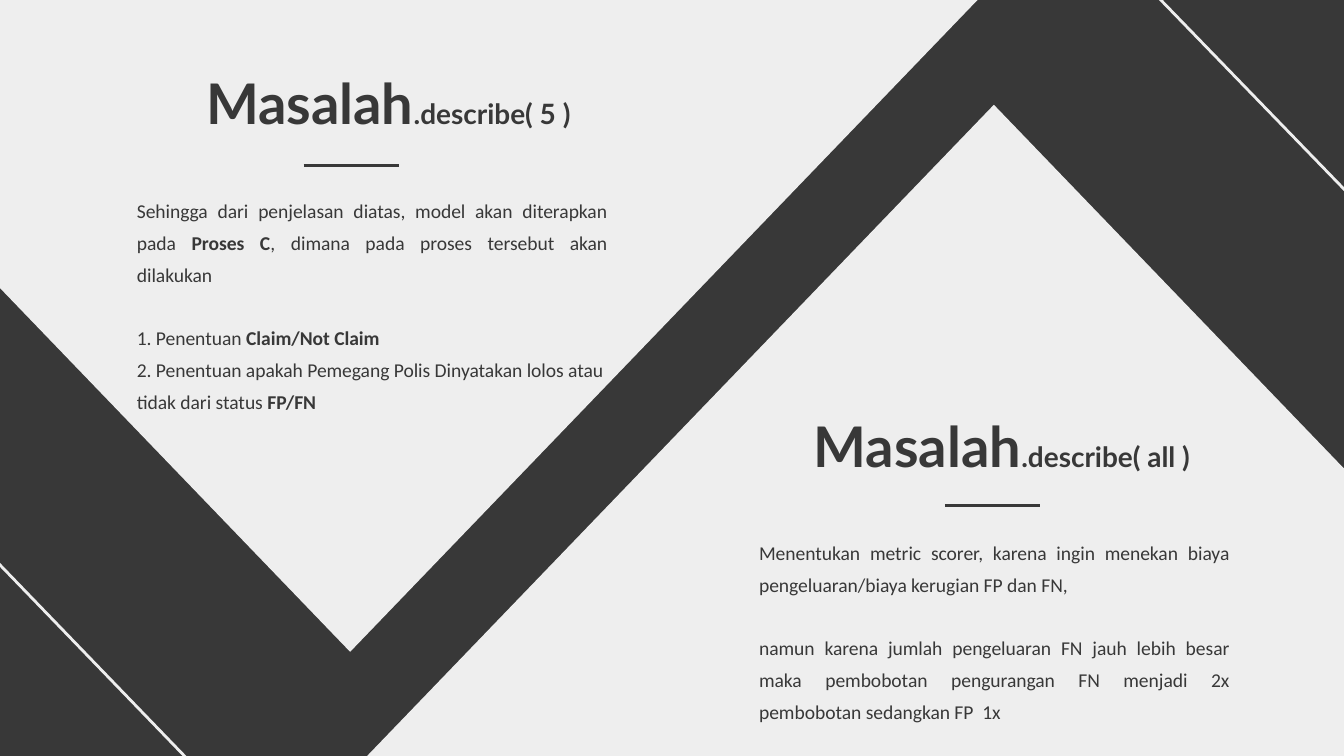
"""Builds a dark slide with two light triangles and two titled notes."""
from dataclasses import dataclass
from typing import Any

from lxml.etree import SubElement
from pptx import Presentation
from pptx.dml.color import RGBColor as Color
from pptx.enum.shapes import MSO_CONNECTOR as Link, MSO_SHAPE as Shape
from pptx.enum.text import MSO_ANCHOR as Anchor, PP_ALIGN as Align
from pptx.oxml.ns import qn
from pptx.util import Inches, Pt


@dataclass(frozen=True)
class Theme:
    dark: Color = Color(0x38, 0x38, 0x38)
    light: Color = Color(0xEE, 0xEE, 0xEE)
    head: str = "Lato"
    body: str = "Calibri"
    big: float = 30
    small: float = 15
    text: float = 10.5
    gap: float = 16.8
    lead: float = 1.36
    line: float = 1.5


@dataclass(frozen=True)
class Run:
    text: str
    bold: bool = False
    size: float = Theme.text
    face: str = Theme.body


@dataclass(frozen=True)
class Para:
    runs: list[Run]
    align: Align = Align.JUSTIFY
    gap: float = 0
    lead: float = Theme.lead


@dataclass(frozen=True)
class Note:
    call: str
    title: tuple[float, ...]
    body: tuple[float, ...]
    rule: tuple[float, float]
    paras: list[Para]


THEME = Theme()
WIDTH = Inches(10)
RULE = 0.71
PEAKS = [(2.65, 0.78, 0), (-2.14, -0.08, 180)]
EDGES = [(-1.5, 2.65, 1.86, 6.13), (8.57, -0.07, 11.94, 3.41)]
NOTES = [
    Note(".describe( 5 )", (0.92, 0.41, 3.94, 0.58), (0.92, 1.32, 3.7, 1.08), (2.26, 1.23), [
        Para([Run("Sehingga dari penjelasan diatas, model akan diterapkan pada "),
              Run("Proses C", True),
              Run(", dimana pada proses tersebut akan dilakukan")]),
        Para([Run("1. Penentuan "), Run("Claim/Not Claim", True)], Align.LEFT, THEME.gap),
        Para([Run("2. Penentuan apakah Pemegang Polis Dinyatakan lolos atau tidak dari status"),
              Run(" FP/FN", True)], Align.LEFT),
    ]),
    Note(".describe( all )", (5.55, 2.96, 3.81, 0.58), (5.55, 3.86, 3.7, 1.08), (7.03, 3.76), [
        Para([Run("Menentukan metric scorer, karena ingin menekan biaya "
                  "pengeluaran/biaya kerugian FP dan FN,")]),
        Para([Run("namun karena jumlah pengeluaran FN jauh lebih besar maka pembobotan "
                  "pengurangan FN menjadi 2x pembobotan sedangkan FP  1x")], gap=THEME.gap),
    ]),
]


def apply(item: Any, form: dict[str, Any]) -> None:
    for key, value in form.items():
        setattr(item, key, value)


def draw_peak(slide: Any, left: float, top: float, turn: float) -> None:
    peak = slide.shapes.add_shape(Shape.ISOSCELES_TRIANGLE, Inches(left), Inches(top),
                                  Inches(9.49), Inches(4.93))
    peak.rotation = turn
    peak.shadow.inherit = False
    peak.fill.solid()
    peak.fill.fore_color.rgb = THEME.light
    peak.line.fill.background()


def draw_line(slide: Any, ends: tuple[float, ...], color: Color) -> None:
    line = slide.shapes.add_connector(Link.STRAIGHT, *map(Inches, ends))
    line.line.color.rgb = color
    line.line.width = Pt(THEME.line)
    SubElement(line._element.spPr, qn("a:effectLst"))


def draw_text(slide: Any, place: tuple[float, ...], paras: list[Para]) -> None:
    frame = slide.shapes.add_textbox(*map(Inches, place)).text_frame
    pad = Inches(0.1)
    apply(frame, {"word_wrap": True, "vertical_anchor": Anchor.TOP, "margin_left": pad,
                  "margin_right": pad, "margin_top": pad, "margin_bottom": pad})
    for index, para in enumerate(paras):
        block = frame.add_paragraph() if index else frame.paragraphs[0]
        apply(block, {"alignment": para.align, "line_spacing": para.lead,
                      "space_before": Pt(para.gap)})
        for run in para.runs:
            part = block.add_run()
            part.text = run.text
            apply(part.font, {"name": run.face, "size": Pt(run.size), "bold": run.bold})
            part.font.color.rgb = THEME.dark


def draw_note(slide: Any, note: Note) -> None:
    title = [Run("Masalah", True, THEME.big, THEME.head),
             Run(note.call, True, THEME.small, THEME.head)]
    draw_text(slide, note.title, [Para(title, Align.CENTER, lead=1.0)])
    left, top = note.rule
    draw_line(slide, (left, top, left + RULE, top), THEME.dark)
    draw_text(slide, note.body, note.paras)


def main() -> None:
    deck = Presentation()
    apply(deck, {"slide_width": WIDTH, "slide_height": WIDTH * 9 // 16})
    slide = deck.slides.add_slide(deck.slide_layouts[6])
    back = slide.background.fill
    back.solid()
    back.fore_color.rgb = THEME.dark
    for peak in PEAKS:
        draw_peak(slide, *peak)
    for edge in EDGES:
        draw_line(slide, edge, THEME.light)
    for note in NOTES:
        draw_note(slide, note)
    deck.save("out.pptx")


if __name__ == "__main__":
    main()
